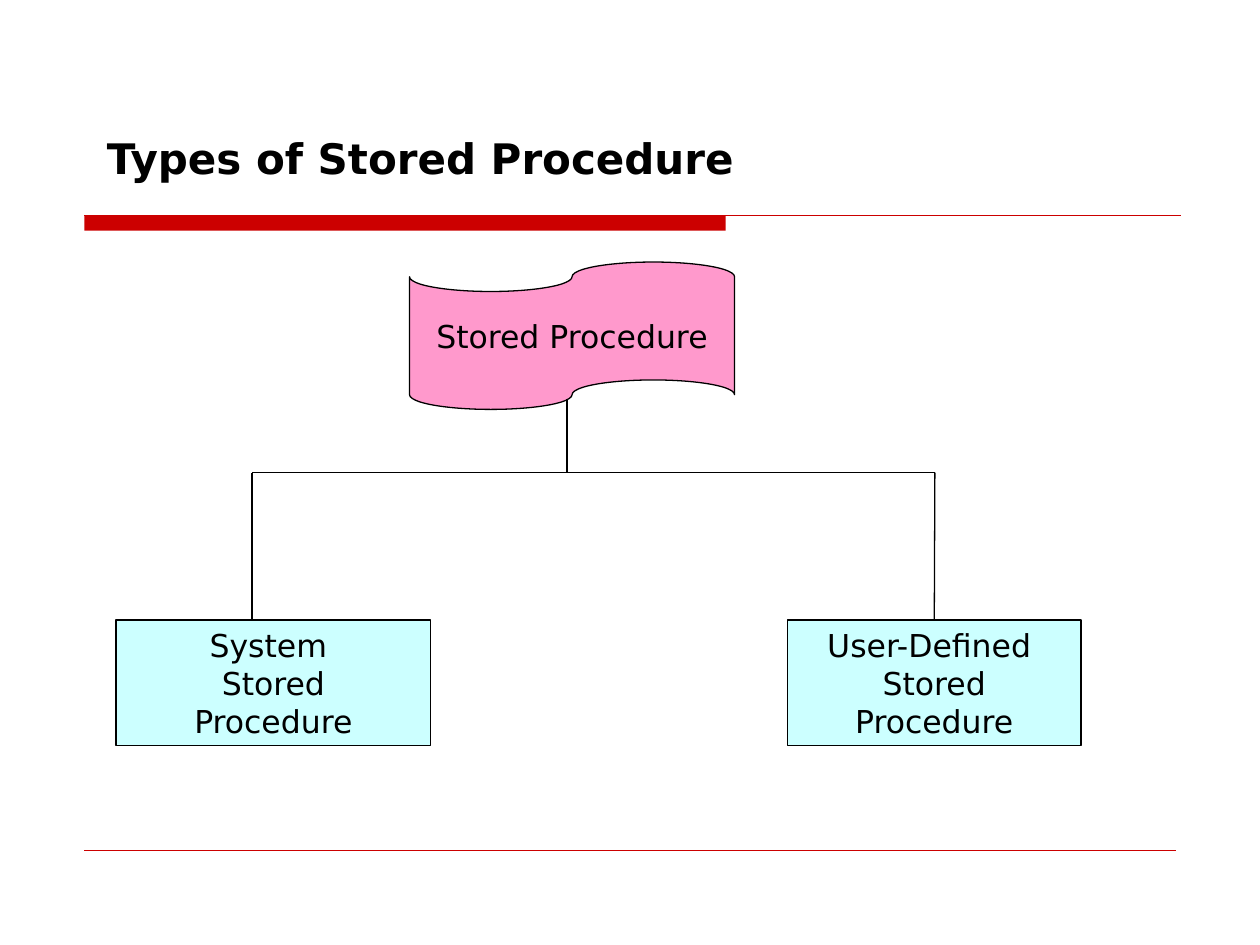
"""Build a slide that shows the types of stored procedure as a tree."""
from lxml import etree
from pptx import Presentation
from pptx import util as u
from pptx.dml.color import RGBColor
from pptx.enum import shapes, text
from pptx.oxml import ns

RED = RGBColor(0xCC, 0x00, 0x00)
PINK = RGBColor(0xFF, 0x99, 0xCC)
CYAN = RGBColor(0xCC, 0xFF, 0xFF)
BLACK = RGBColor(0x00, 0x00, 0x00)

TITLE_FONT = {"name": "DejaVu Sans", "size": u.Pt(24), "bold": True}
NODE_FONT = {"name": "DejaVu Sans", "size": u.Pt(18), "bold": False}
TITLE_FRAME = {"word_wrap": True, "vertical_anchor": text.MSO_ANCHOR.MIDDLE}
NODE_FRAME = {"word_wrap": False, "vertical_anchor": text.MSO_ANCHOR.MIDDLE}

BRANCH_Y = 3.75
LEFT_X, STEM_X, RIGHT_X = 2, 4.5, 7.42


def apply_format(target, values):
    for name, value in values.items():
        setattr(target, name, value)


def write_text(shape, lines, frame_format, font_format, alignment):
    frame = shape.text_frame
    apply_format(frame, frame_format)
    frame.text = "\n".join(lines)
    for paragraph in frame.paragraphs:
        paragraph.alignment = alignment
        font = paragraph.runs[0].font
        apply_format(font, font_format)
        font.color.rgb = BLACK


def add_title(slide, title):
    box = slide.shapes.add_textbox(*map(u.Inches, (0.75, 0.92, 8.17, 0.67)))
    write_text(box, [title], TITLE_FRAME, TITLE_FONT, text.PP_ALIGN.LEFT)


def add_filled_shape(slide, kind, bounds, fill):
    shape = slide.shapes.add_shape(kind, *map(u.Inches, bounds))
    shape.shadow.inherit = False
    shape.fill.solid()
    shape.fill.fore_color.rgb = fill
    shape.line.fill.background()
    return shape


def add_node(slide, kind, bounds, fill, lines):
    node = add_filled_shape(slide, kind, bounds, fill)
    node.line.color.rgb = BLACK
    node.line.width = u.Pt(0.75)
    write_text(node, lines, NODE_FRAME, NODE_FONT, text.PP_ALIGN.CENTER)
    return node


def add_line(slide, start, end, color=BLACK, width=0.75):
    line = slide.shapes.add_connector(
        shapes.MSO_CONNECTOR.STRAIGHT, *map(u.Inches, (*start, *end)))
    line.line.color.rgb = color
    line.line.width = u.Pt(width)
    etree.SubElement(line._element.spPr, ns.qn("a:effectLst"))
    return line


def add_rules(slide):
    rectangle = shapes.MSO_SHAPE.RECTANGLE
    add_filled_shape(slide, rectangle, (0.67, 1.71, 5.09, 0.12), RED)
    add_line(slide, (0.67, 1.71), (9.37, 1.71), RED)
    add_line(slide, (0.67, 6.75), (9.33, 6.75), RED, 0.25)


def add_tree(slide):
    kinds = shapes.MSO_SHAPE
    add_node(slide, kinds.FLOWCHART_PUNCHED_TAPE, (3.25, 2.08, 2.58, 1.17),
             PINK, ["Stored Procedure"])
    add_node(slide, kinds.RECTANGLE, (0.92, 4.92, 2.5, 1),
             CYAN, ["System ", "Stored", "Procedure"])
    user_defined = add_node(slide, kinds.RECTANGLE, (6.25, 4.92, 2.33, 1),
                            CYAN, ["User-Defined ", "Stored", "Procedure"])
    add_line(slide, (STEM_X, 3.17), (STEM_X, BRANCH_Y))
    add_line(slide, (LEFT_X, BRANCH_Y), (RIGHT_X, BRANCH_Y))
    add_line(slide, (LEFT_X, BRANCH_Y), (LEFT_X, 4.92))
    right_branch = add_line(slide, (RIGHT_X, BRANCH_Y), (RIGHT_X, 4.92))
    right_branch.end_connect(user_defined, 0)


def main():
    presentation = Presentation()
    presentation.slide_width = u.Inches(10)
    presentation.slide_height = u.Inches(7.5)
    slide = presentation.slides.add_slide(presentation.slide_layouts[6])
    add_rules(slide)
    add_title(slide, "Types of Stored Procedure")
    add_tree(slide)
    presentation.save("out.pptx")


if __name__ == "__main__":
    main()
